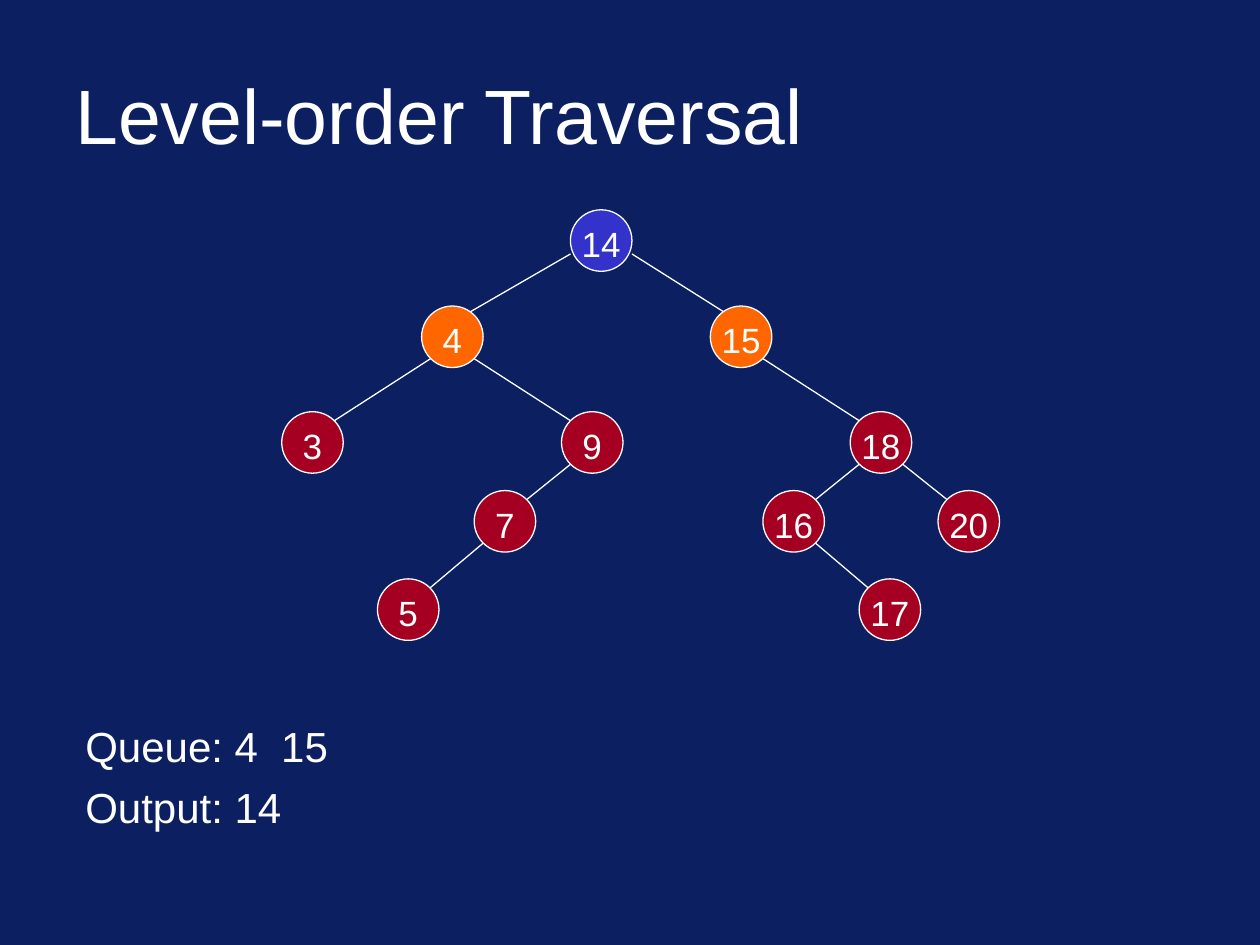
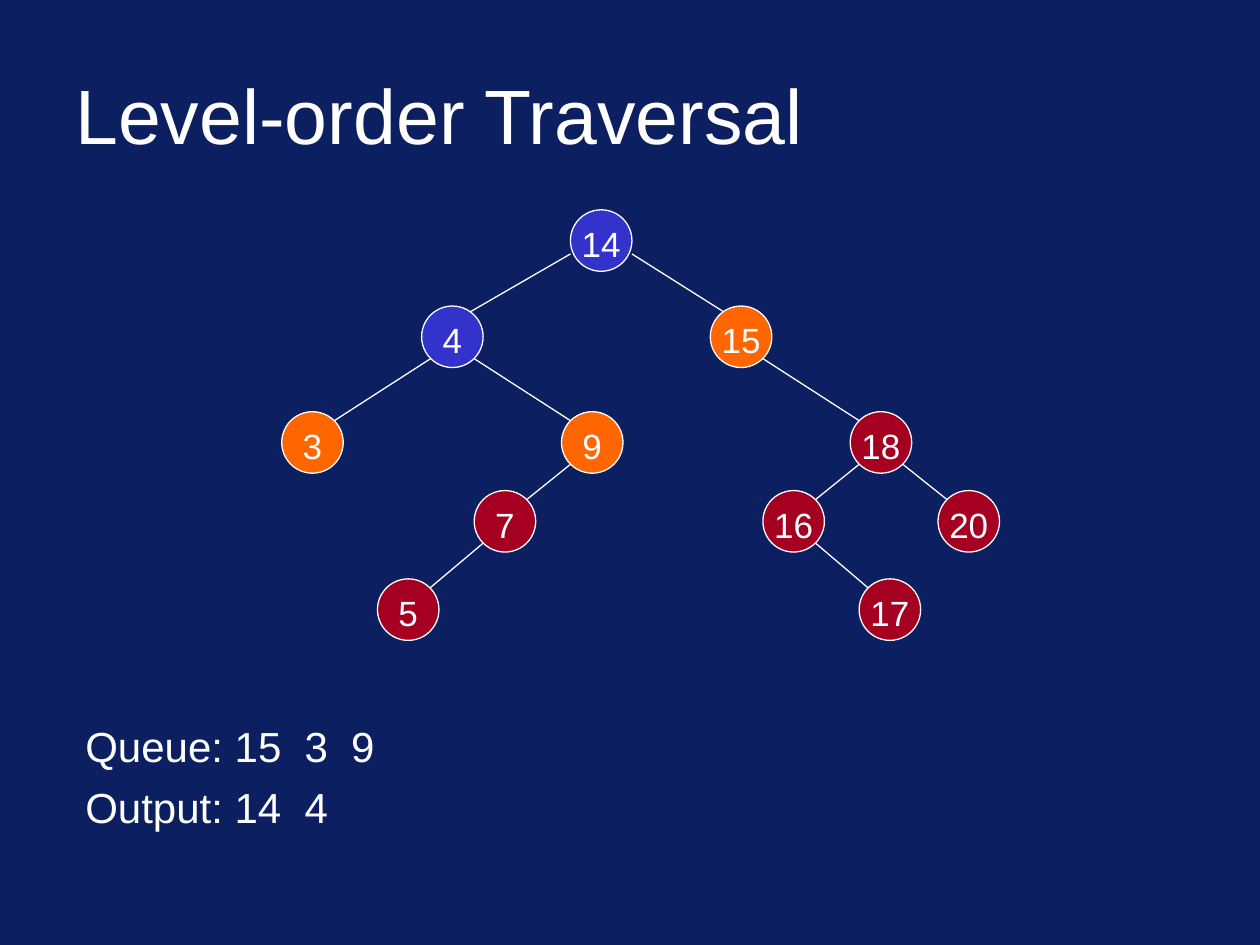
"""Build two slides that step through a level-order tree traversal."""
from dataclasses import dataclass

from lxml import etree
from pptx import Presentation
from pptx.dml.color import RGBColor
from pptx.enum.shapes import MSO_CONNECTOR, MSO_SHAPE
from pptx.enum.text import MSO_ANCHOR, PP_ALIGN
from pptx.oxml.ns import qn
from pptx.util import Cm, Pt

OVAL = MSO_SHAPE.OVAL
STRAIGHT = MSO_CONNECTOR.STRAIGHT
TOP, MIDDLE = MSO_ANCHOR.TOP, MSO_ANCHOR.MIDDLE
LEFT, CENTER = PP_ALIGN.LEFT, PP_ALIGN.CENTER
BLANK = 6


@dataclass(frozen=True)
class Theme:
    """Colours, font and sizes shared by the slides."""
    background: str = "0B1F61"
    ink: str = "FFFFFF"
    visited: str = "3333CC"
    queued: str = "FF6600"
    waiting: str = "A50021"
    font: str = "Arial"
    title_size: int = 44
    body_size: int = 24
    node_size: int = 20
    line_width: float = 0.75


RADIUS = 0.62
CORNER = 0.44
ROOT = 14
ROOT_START = (RADIUS, 0.27)
ROOT_END = (0.25, CORNER)
LABEL_WIDTH = 3.01
DIGIT_WIDTH = 0.47

CENTERS = {
    14: (12.12, 4.85),
    4: (9.12, 6.79), 15: (14.94, 6.79),
    3: (6.3, 8.92), 9: (11.94, 8.92), 18: (17.76, 8.92),
    7: (10.18, 10.51), 16: (16, 10.51), 20: (19.53, 10.51),
    5: (8.23, 12.29), 17: (17.94, 12.29),
}
CHILDREN = {14: (4, 15), 4: (3, 9), 15: (18,), 9: (7,), 7: (5,),
            18: (16, 20), 16: (17,)}
STEPS = [
    {"queue": [4, 15], "output": [14]},
    {"queue": [15, 3, 9], "output": [14, 4]},
]


def color(code):
    """Turn a hex code into a colour."""
    return RGBColor.from_string(code)


def format_text(para, text, *, font, size, ink, align=LEFT, before=0):
    """Put formatted text into a paragraph."""
    para.alignment = align
    para.space_before = Pt(before)
    span = para.add_run()
    span.text = text
    span.font.name = font
    span.font.size = Pt(size)
    span.font.color.rgb = color(ink)


def add_value_tabs(para, values):
    """Set tab stops one digit width after each value."""
    tabs = etree.SubElement(para._p.get_or_add_pPr(), qn("a:tabLst"))
    position = LABEL_WIDTH
    for value in values[:-1]:
        position += DIGIT_WIDTH * (len(str(value)) + 1)
        etree.SubElement(tabs, qn("a:tab"), pos=str(int(Cm(position))), algn="l")


class TraversalDeck:
    """Hold the theme and the current slide."""

    def __init__(self, theme):
        """Start an empty deck."""
        self.theme = theme
        self.deck = Presentation()
        self.deck.slide_width, self.deck.slide_height = Cm(25.4), Cm(19.05)
        self.slide = None

    def add_page(self):
        """Start a slide with the shared background."""
        self.slide = self.deck.slides.add_slide(self.deck.slide_layouts[BLANK])
        fill = self.slide.background.fill
        fill.solid()
        fill.fore_color.rgb = color(self.theme.background)

    def add_text(self, para, text, size, **style):
        """Add text in the theme font and ink."""
        format_text(para, text, font=self.theme.font, size=size,
                    ink=self.theme.ink, **style)

    def outline(self, line):
        """Give a line the theme colour and width."""
        line.color.rgb = color(self.theme.ink)
        line.width = Pt(self.theme.line_width)

    def add_box(self, left, top, width, height, anchor=TOP):
        """Add a wrapping text box and return its frame."""
        box = self.slide.shapes.add_textbox(Cm(left), Cm(top), Cm(width), Cm(height))
        frame = box.text_frame
        frame.word_wrap = True
        frame.vertical_anchor = anchor
        return frame

    def add_title(self, text):
        """Add the slide title."""
        frame = self.add_box(1.27, 1.02, 22.86, 2.54, anchor=MIDDLE)
        self.add_text(frame.paragraphs[0], text, self.theme.title_size)

    def add_status(self, rows):
        """List each label with its values."""
        frame = self.add_box(1.47, 14.4, 22.86, 2.54)
        for index, (label, values) in enumerate(rows.items()):
            para = frame.add_paragraph() if index else frame.paragraphs[0]
            add_value_tabs(para, values)
            text = f"{label.capitalize()}: " + "\t".join(map(str, values))
            self.add_text(para, text, self.theme.body_size, before=6 if index else 0)

    def add_edge(self, parent, child):
        """Join a parent node to its child."""
        (start_x, start_y), (end_x, end_y) = CENTERS[parent], CENTERS[child]
        side = 1 if end_x > start_x else -1
        corner = (CORNER, CORNER)
        start, end = (ROOT_START, ROOT_END) if parent == ROOT else (corner, corner)
        edge = self.slide.shapes.add_connector(
            STRAIGHT,
            Cm(start_x + side * start[0]), Cm(start_y + start[1]),
            Cm(end_x - side * end[0]), Cm(end_y - end[1]))
        self.outline(edge.line)
        etree.SubElement(edge._element.spPr, qn("a:effectLst"))

    def add_node(self, value, fill):
        """Draw one numbered tree node."""
        x, y = CENTERS[value]
        node = self.slide.shapes.add_shape(
            OVAL, Cm(x - RADIUS), Cm(y - RADIUS), Cm(2 * RADIUS), Cm(2 * RADIUS))
        node.shadow.inherit = False
        node.fill.solid()
        node.fill.fore_color.rgb = color(fill)
        self.outline(node.line)
        frame = node.text_frame
        frame.word_wrap = False
        frame.vertical_anchor = TOP
        frame.margin_left = frame.margin_right = frame.margin_bottom = 0
        frame.margin_top = Cm(0.07)
        self.add_text(frame.paragraphs[0], str(value), self.theme.node_size, align=CENTER)

    def add_tree(self, queue, output):
        """Draw the tree, coloured by traversal state."""
        for parent, children in CHILDREN.items():
            for child in children:
                self.add_edge(parent, child)
        fills = dict.fromkeys(CENTERS, self.theme.waiting)
        fills.update(dict.fromkeys(queue, self.theme.queued))
        fills.update(dict.fromkeys(output, self.theme.visited))
        for value, fill in fills.items():
            self.add_node(value, fill)


def main():
    """Build and save the deck."""
    traversal = TraversalDeck(Theme())
    for step in STEPS:
        traversal.add_page()
        traversal.add_title("Level-order Traversal")
        traversal.add_status(step)
        traversal.add_tree(**step)
    traversal.deck.save("out.pptx")


if __name__ == "__main__":
    main()
